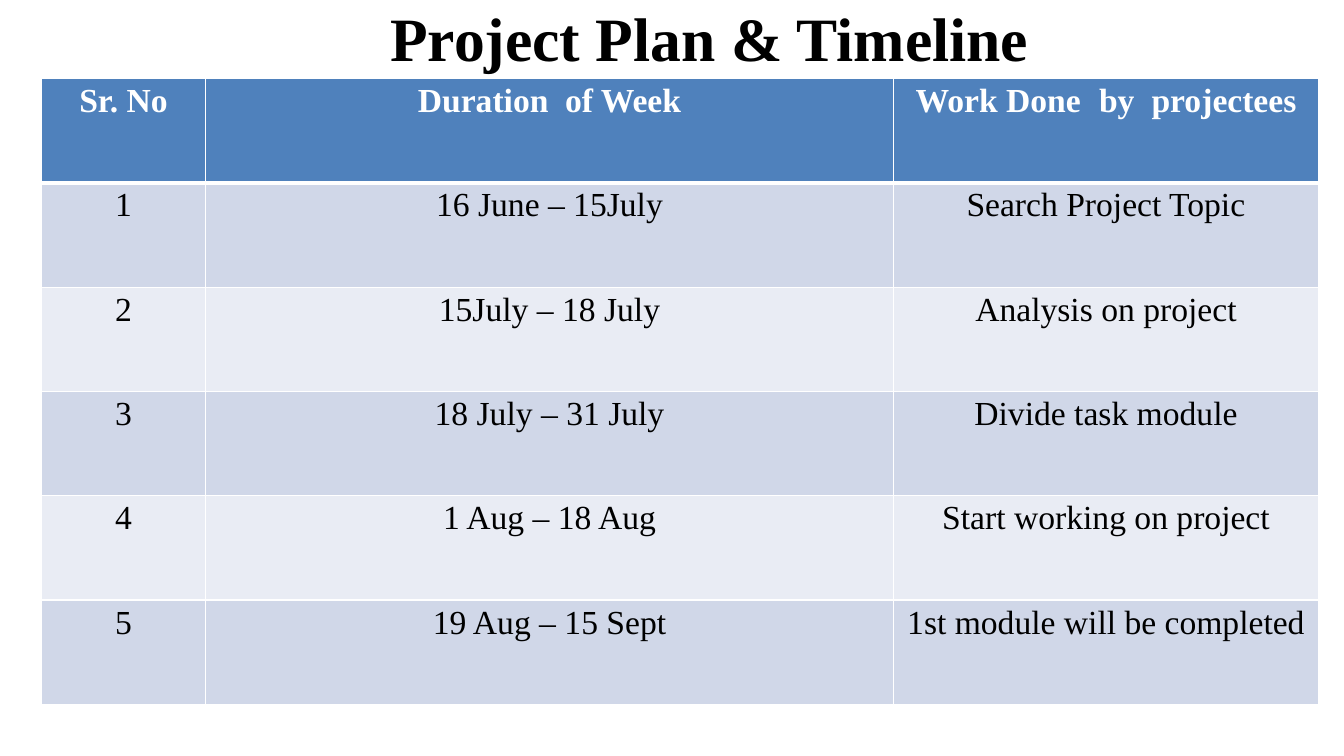
from lxml.etree import SubElement as Sub
from pptx import Presentation
from pptx.dml.color import RGBColor as RGB
from pptx.enum.text import MSO_ANCHOR as Anchor, MSO_AUTO_SIZE as Fit, PP_ALIGN as Align
from pptx.oxml.ns import qn
from pptx.util import Inches, Pt

COLORS = {"head": "4F81BC", "odd": "D0D7E8", "even": "E9ECF4",
          "white": "FFFFFF", "black": "000000"}
FONT = "Times New Roman"
WIDTHS = [1.63, 6.82, 4.22]
TABS = [[], [1.46], [1.82, 2.34]]
ROWS = [
    ("Sr. No", "Duration\tof Week", "Work Done\tby\tprojectees"),
    ("1", "16 June – 15July", "Search Project Topic"),
    ("2", "15July – 18 July", "Analysis on project"),
    ("3", "18 July – 31 July", "Divide task module"),
    ("4", "1 Aug – 18 Aug", "Start working on project"),
    ("5", "19 Aug – 15 Sept", "1st module will be completed"),
]


def style(para, size, color, bold, before, align):
    para.alignment = align
    para.space_before = Pt(before)
    font = para.font
    font.name, font.size, font.bold = FONT, Pt(size), bold
    font.color.rgb = RGB.from_string(COLORS[color])


def add_tabs(para, stops):
    props = para._p.get_or_add_pPr()
    tabs = Sub(props, qn("a:tabLst"))
    for stop in stops:
        Sub(tabs, qn("a:tab"), pos=str(Inches(stop)), algn="l")
    # Tab stops precede the default run properties
    props.find(qn("a:defRPr")).addprevious(tabs)


def add_edges(cell, top, bottom):
    props = cell._tc.get_or_add_tcPr()
    for side, width in (("L", 1), ("R", 1), ("T", top), ("B", bottom)):
        line = Sub(props, qn(f"a:ln{side}"), w=str(Pt(width)))
        Sub(Sub(line, qn("a:solidFill")), qn("a:srgbClr"), val=COLORS["white"])


def add_title(slide, left, top, width, height):
    title = slide.shapes.title
    title.left, title.top = Inches(left), Inches(top)
    title.width, title.height = Inches(width), Inches(height)
    frame = title.text_frame
    frame.text = "Project Plan & Timeline"
    frame.margin_left = frame.margin_right = frame.margin_bottom = 0
    frame.margin_top = Inches(0.01)
    frame.vertical_anchor = Anchor.TOP
    frame.auto_size = Fit.SHAPE_TO_FIT_TEXT
    style(frame.paragraphs[0], 44, "black", True, 1, Align.LEFT)


def fill_cell(cell, text, row, stops):
    head = row == 0
    add_edges(cell, 3 if row == 1 else 1, 3 if head else 1)
    shade = "head" if head else "odd" if row % 2 else "even"
    cell.fill.solid()
    cell.fill.fore_color.rgb = RGB.from_string(COLORS[shade])
    cell.margin_left = cell.margin_right = cell.margin_bottom = 0
    cell.margin_top = Inches(0.04)
    cell.vertical_anchor = Anchor.TOP
    cell.text = text
    para = cell.text_frame.paragraphs[0]
    style(para, 24, "white" if head else "black", head, 2.8, Align.CENTER)
    if head and stops:
        add_tabs(para, stops)


def add_plan(slide, left, top, height):
    table = slide.shapes.add_table(
        len(ROWS), len(WIDTHS), Inches(left), Inches(top),
        Inches(sum(WIDTHS)), Inches(height)).table
    for column, width in zip(table.columns, WIDTHS):
        column.width = Inches(width)
    for row, texts in enumerate(ROWS):
        for col, text in enumerate(texts):
            fill_cell(table.cell(row, col), text, row, TABS[col])


def main():
    deck = Presentation()
    deck.slide_width, deck.slide_height = Inches(13.33), Inches(7.5)
    slide = deck.slides.add_slide(deck.slide_layouts[5])
    add_title(slide, 3.87, -0.01, 6.37, 0.76)
    add_plan(slide, 0.41, 0.78, 6.21)
    deck.save("out.pptx")


if __name__ == "__main__":
    main()
